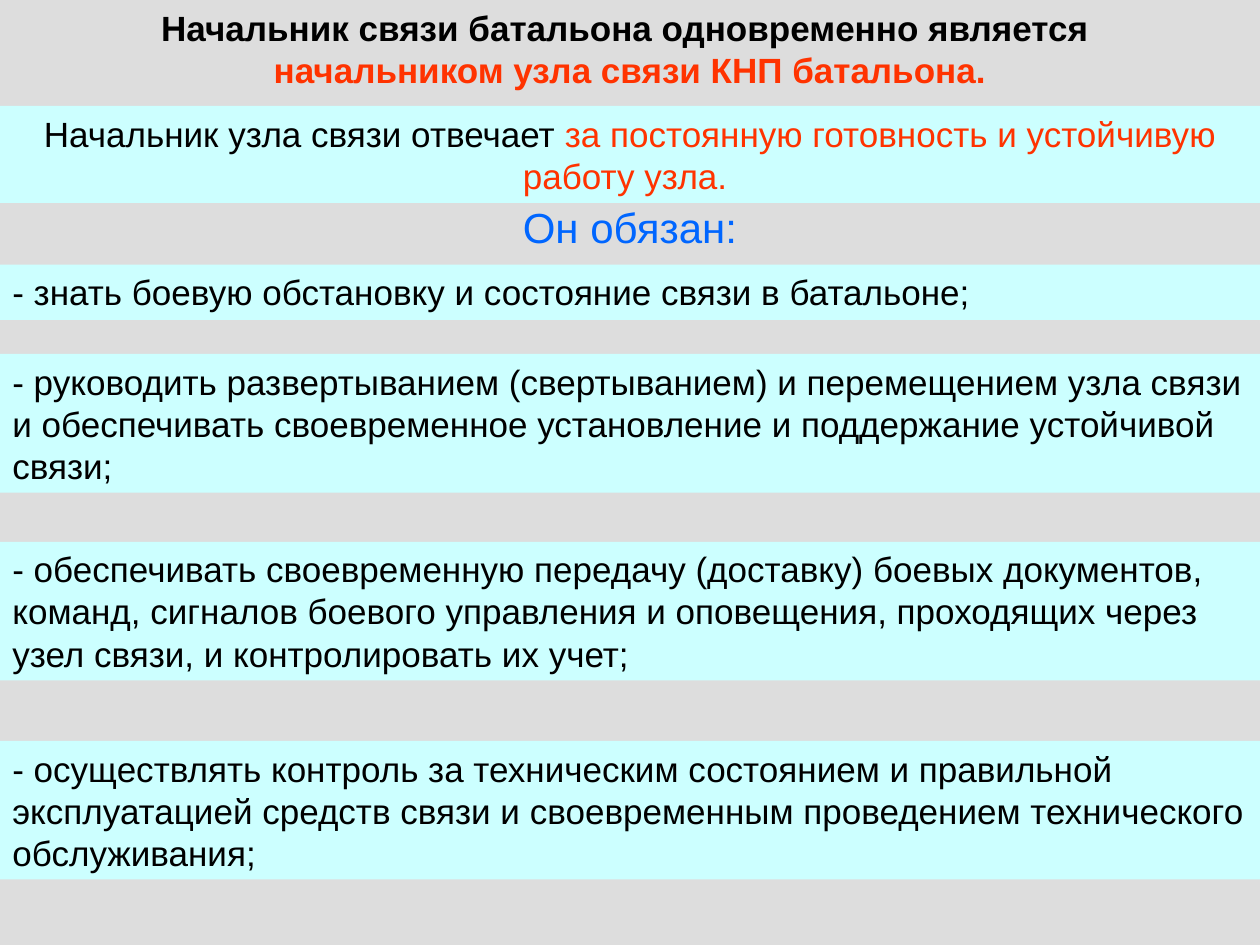
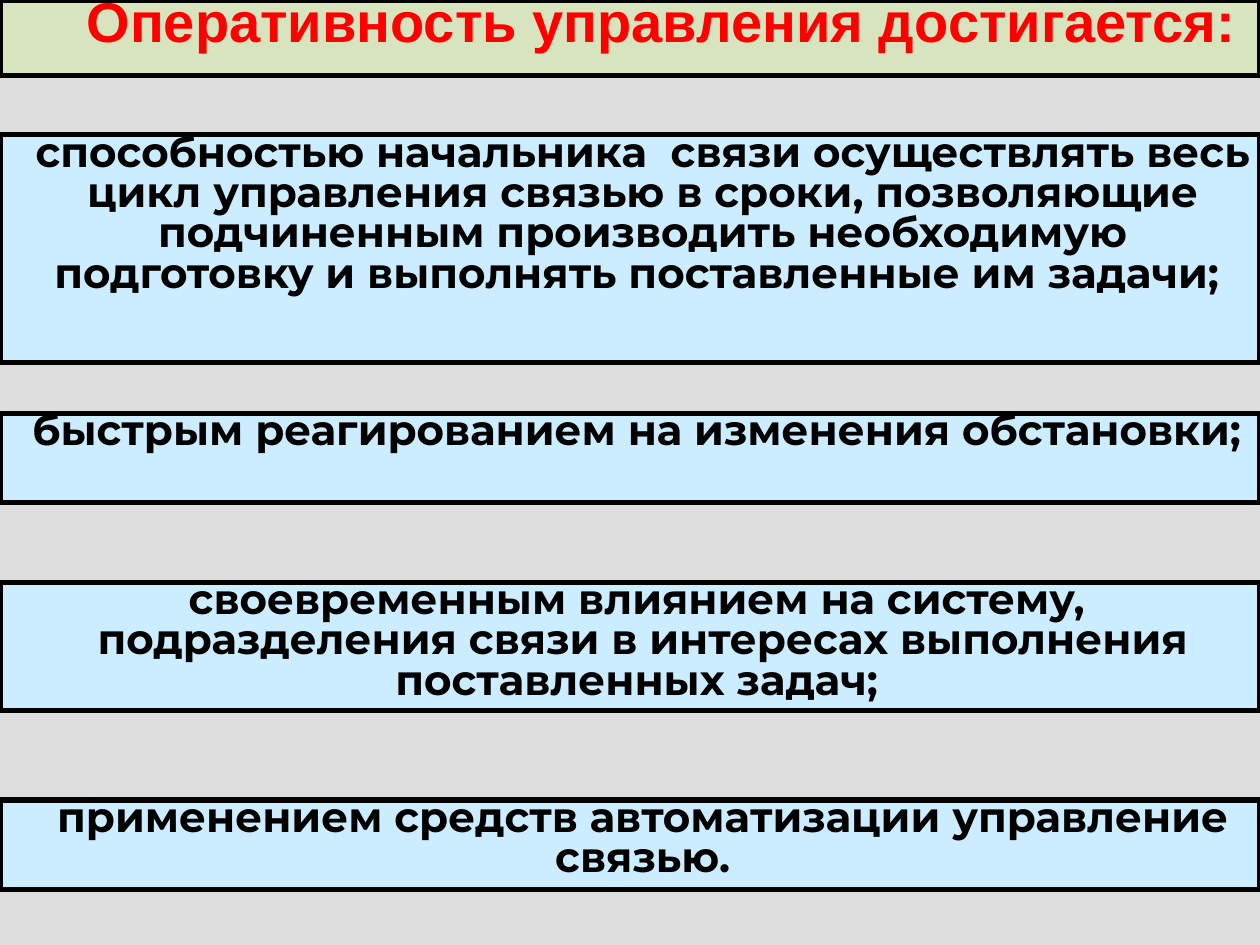
"""Build two slides on the duties of a signal chief and prompt control."""
from dataclasses import dataclass

from pptx import Presentation, util as u
from pptx.dml.color import RGBColor
from pptx.enum import shapes, text

MID, LEFT = text.PP_ALIGN.CENTER, text.PP_ALIGN.LEFT


@dataclass(frozen=True)
class Theme:
    back: str = "DDDDDD"
    aqua: str = "CCFFFF"
    sky: str = "CCECFF"
    olive: str = "D7E4BD"
    ink: str = "000000"
    blue: str = "0066FF"
    coral: str = "FF3300"
    red: str = "FF0000"
    sans: str = "Arial"
    bold: str = "Montserrat"
    body: int = 20
    lead: int = 24
    head: int = 32
    edge: int = 3


class Deck:
    def __init__(self, theme):
        self.theme = theme
        self.show = Presentation()
        self.show.slide_width, self.show.slide_height = u.Inches(10), u.Inches(7.5)
        self.slide = None

    def page(self):
        self.slide = self.show.slides.add_slide(self.show.slide_layouts[6])
        self.paint(self.slide.background.fill, self.theme.back)

    def paint(self, fill, color):
        fill.solid()
        fill.fore_color.rgb = RGBColor.from_string(color)

    def place(self, top, high):
        return 0, u.Inches(top), self.show.slide_width, u.Inches(high)

    def label(self, top, high, lines, **form):
        box = self.slide.shapes.add_textbox(*self.place(top, high))
        self.fill_text(box.text_frame, lines, **form)

    def band(self, top, high, lines, fill, edge=None, **form):
        box = self.slide.shapes.add_shape(
            shapes.MSO_SHAPE.RECTANGLE, *self.place(top, high))
        box.shadow.inherit = False
        self.paint(box.fill, fill)
        if edge:
            self.paint(box.line.fill, self.theme.ink)
            box.line.width = u.Pt(edge)
        else:
            box.line.fill.background()
        self.fill_text(box.text_frame, lines, **form)

    def fill_text(self, frame, lines, size=None, face=None, bold=False, align=MID,
                  anchor=text.MSO_ANCHOR.TOP, inset=(0.1, 0.05), grow=True,
                  indent=0, space=1.0):
        side, rim = map(u.Inches, inset)
        fit = text.MSO_AUTO_SIZE
        look = {"word_wrap": True, "vertical_anchor": anchor,
                "auto_size": fit.SHAPE_TO_FIT_TEXT if grow else fit.NONE,
                "margin_left": side, "margin_right": side,
                "margin_top": rim, "margin_bottom": rim}
        for key, val in look.items():
            setattr(frame, key, val)
        font = {"size": u.Pt(size or self.theme.body),
                "name": face or self.theme.sans, "bold": bold}
        for num, line in enumerate(lines):
            para = frame.add_paragraph() if num else frame.paragraphs[0]
            para.alignment, para.line_spacing = align, space
            para._p.get_or_add_pPr().set("marL", str(u.Inches(indent)))
            for words, color in line:
                run = para.add_run()
                run.text = words
                for key, val in font.items():
                    setattr(run.font, key, val)
                run.font.color.rgb = RGBColor.from_string(color)

    def duty(self, top, high, words):
        self.band(top, high, [[(words, self.theme.ink)]], self.theme.aqua, align=LEFT)

    def frame(self, top, high, words, fill=None, color=None, **form):
        look = {"size": self.theme.lead, "face": self.theme.bold, "indent": 0.2} | form
        self.band(top, high, [[(words, color or self.theme.ink)]],
                  fill or self.theme.sky, self.theme.edge, bold=True,
                  inset=(0, 0), grow=False, space=0.8, **look)


def duties(deck):
    t = deck.theme
    deck.page()
    deck.label(0, 0.77, [
        [("Начальник связи батальона одновременно является ", t.ink)],
        [("начальником узла связи КНП батальона.", t.coral)],
    ], bold=True, anchor=text.MSO_ANCHOR.MIDDLE)
    deck.band(0.84, 0.77, [[
        ("Начальник узла связи отвечает ", t.ink),
        ("за постоянную готовность и устойчивую работу узла. ", t.coral),
    ]], t.aqua)
    deck.label(1.55, 0.5, [[("Он обязан:", t.blue)]], size=t.lead)
    for top, high, words in (
        (2.1, 0.44, "- знать боевую обстановку и состояние связи в батальоне;"),
        (2.81, 1.1, "- руководить развертыванием (свертыванием) и перемещением узла "
                    "связи и обеспечивать своевременное установление и поддержание "
                    "устойчивой связи;"),
        (4.3, 1.1, "- обеспечивать своевременную передачу (доставку) боевых "
                   "документов, команд, сигналов боевого управления и оповещения, "
                   "проходящих через узел связи, и контролировать их учет;"),
        (5.88, 1.1, "- осуществлять контроль за техническим состоянием и правильной "
                    "эксплуатацией средств связи и своевременным проведением "
                    "технического обслуживания;"),
    ):
        deck.duty(top, high, words)


def control(deck):
    t = deck.theme
    deck.page()
    deck.frame(0, 0.6, "Оперативность управления достигается:", t.olive, t.red,
               size=t.head, face=t.sans, indent=0.5)
    for top, high, words in (
        (1.07, 1.81, "способностью начальника  связи осуществлять весь цикл "
                     "управления связью в сроки, позволяющие подчиненным производить "
                     "необходимую подготовку и выполнять поставленные им задачи; "),
        (3.28, 0.71, "быстрым реагированием на изменения обстановки; "),
        (4.62, 1.02, "своевременным влиянием на систему,  подразделения связи в "
                     "интересах выполнения поставленных задач; "),
        (6.35, 0.71, "применением средств автоматизации управление связью."),
    ):
        deck.frame(top, high, words)


def main():
    deck = Deck(Theme())
    duties(deck)
    control(deck)
    deck.show.save("out.pptx")


if __name__ == "__main__":
    main()
